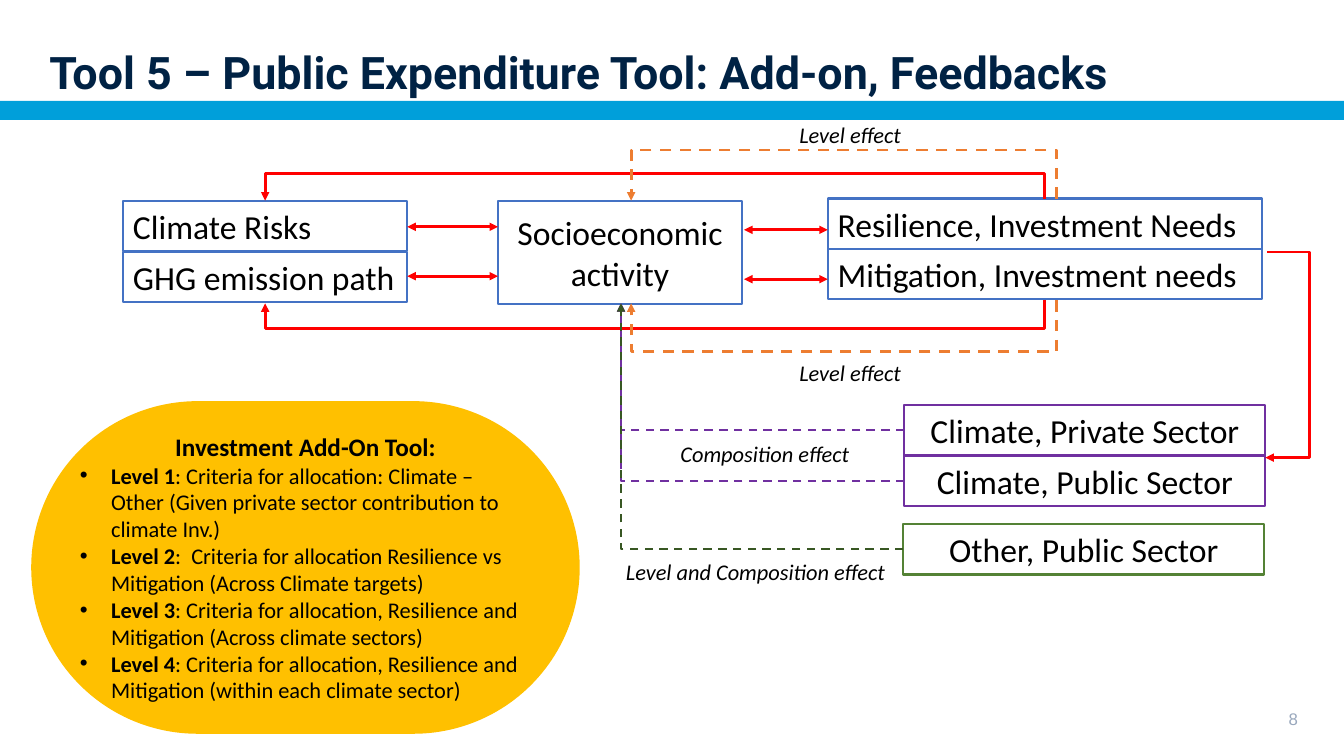
from lxml import etree
from pptx import Presentation
from pptx import util as u
from pptx.dml.color import RGBColor
from pptx.enum import dml, shapes, text
from pptx.oxml import ns

NAVY = RGBColor(0x00, 0x22, 0x44)
SKY = RGBColor(0x00, 0x9F, 0xDA)
SLATE = RGBColor(0x99, 0xA8, 0xBD)
BLACK = RGBColor(0x00, 0x00, 0x00)
BLUE = RGBColor(0x44, 0x72, 0xC4)
RED = RGBColor(0xFF, 0x00, 0x00)
ORANGE = RGBColor(0xED, 0x7D, 0x31)
PURPLE = RGBColor(0x70, 0x30, 0xA0)
GREEN = RGBColor(0x54, 0x82, 0x35)
DARK_GREEN = RGBColor(0x38, 0x57, 0x23)
AMBER = RGBColor(0xFF, 0xC0, 0x00)

LEFT, CENTER, RIGHT = text.PP_ALIGN.LEFT, text.PP_ALIGN.CENTER, text.PP_ALIGN.RIGHT
TOP, MIDDLE = text.MSO_ANCHOR.TOP, text.MSO_ANCHOR.MIDDLE


def add_run(p, words, size=24, font="Calibri", color=BLACK, bold=False, italic=False):
    r = p.add_run()
    r.text = words
    r.font.size, r.font.name = u.Pt(size), font
    r.font.bold, r.font.italic = bold, italic
    r.font.color.rgb = color


def add_xml(parent, tag, **attrs):
    return etree.SubElement(parent, ns.qn(tag), **attrs)


class Diagram:
    def __init__(self, slide):
        self.s = slide

    def shape(self, box, kind=shapes.MSO_SHAPE.RECTANGLE, fill=None, line=None):
        sp = self.s.shapes.add_shape(kind, *map(u.Inches, box))
        sp.shadow.inherit = False
        if fill is None:
            sp.fill.background()
        else:
            sp.fill.solid()
            sp.fill.fore_color.rgb = fill
        if line is None:
            sp.line.fill.background()
        else:
            sp.line.color.rgb = line
            sp.line.width = u.Pt(1.5)
        return sp

    def put_text(self, sp, words, align=LEFT, anchor=TOP, wrap=True, **style):
        tf = sp.text_frame
        tf.word_wrap, tf.vertical_anchor = wrap, anchor
        p = tf.paragraphs[0]
        p.alignment = align
        add_run(p, words, **style)
        return p

    def box(self, words, box, line, **style):
        self.put_text(self.shape(box, line=line), words, **style)

    def label(self, words, box, **style):
        return self.put_text(self.s.shapes.add_textbox(*map(u.Inches, box)), words, **style)

    def connector(self, start, end, color, kind=shapes.MSO_CONNECTOR.STRAIGHT,
                  width=2, dashed=False, both=False):
        c = self.s.shapes.add_connector(kind, *map(u.Inches, (*start, *end)))
        c.line.color.rgb, c.line.width = color, u.Pt(width)
        if dashed:
            c.line.dash_style = dml.MSO_LINE.DASH
        ln = c.line._get_or_add_ln()
        if both:
            add_xml(ln, "a:headEnd", type="triangle")
        add_xml(ln, "a:tailEnd", type="triangle")
        add_xml(c._element.spPr, "a:effectLst")
        return c

    def bend(self, c, preset, adjust=None):
        geom = c._element.spPr.find(ns.qn("a:prstGeom"))
        geom.set("prst", preset)
        if adjust is not None:
            guides = geom.find(ns.qn("a:avLst"))
            if guides is None:
                guides = add_xml(geom, "a:avLst")
            add_xml(guides, "a:gd", name="adj1", fmla=f"val {round(adjust * 100000)}")

    def side_loop(self, start, end, mid_x, color):
        """Leave sideways, turn at mid_x and come back."""
        c = self.connector(start, end, color, shapes.MSO_CONNECTOR.ELBOW)
        self.bend(c, "bentConnector3", (mid_x - start[0]) / (end[0] - start[0]))

    def vertical_loop(self, start, end, mid_y, color, dashed=False):
        """Leave vertically, turn at mid_y and come back: an elbow turned by 90 degrees."""
        cx, cy = (start[0] + end[0]) / 2, (start[1] + end[1]) / 2
        turned = [(cx + y - cy, cy - x + cx) for x, y in (start, end)]
        c = self.connector(*turned, color, shapes.MSO_CONNECTOR.ELBOW, dashed=dashed)
        c._element.spPr.find(ns.qn("a:xfrm")).set("rot", "5400000")
        self.bend(c, "bentConnector3", (mid_y - start[1]) / (end[1] - start[1]))

    def corner(self, start, end, color):
        c = self.connector(start, end, color, shapes.MSO_CONNECTOR.ELBOW, 1.5, True)
        self.bend(c, "bentConnector2")

    def level_list(self, sp, heading, levels):
        tf = sp.text_frame
        tf.margin_left = tf.margin_right = tf.margin_top = tf.margin_bottom = 0
        self.put_text(sp, heading, CENTER, MIDDLE, size=18, bold=True)
        for number, criteria in enumerate(levels, 1):
            p = tf.add_paragraph()
            p.alignment = LEFT
            pPr = p._p.get_or_add_pPr()
            pPr.set("marL", str(u.Inches(0.31)))
            pPr.set("indent", str(-u.Inches(0.31)))
            add_xml(pPr, "a:buFont", typeface="Arial")
            add_xml(pPr, "a:buChar", char="•")
            add_run(p, f"Level {number}", size=16, bold=True)
            add_run(p, criteria, size=16)


def main():
    prs = Presentation()
    prs.slide_width, prs.slide_height = u.Inches(13.33), u.Inches(7.5)
    d = Diagram(prs.slides.add_slide(prs.slide_layouts[6]))

    # Header and page number
    d.shape((0, 1, 13.33, 0.19), fill=SKY)
    title = d.label("Tool 5 – Public Expenditure Tool: Add-on, Feedbacks", (0.39, 0.33, 12.75, 0.83),
                    anchor=MIDDLE, size=32, font="Roboto", color=NAVY, bold=True)
    title.line_spacing = 0.9
    d.label("8", (12.18, 6.98, 0.79, 0.3), align=RIGHT, anchor=MIDDLE,
            size=12, font="Arial", color=SLATE)

    # Risks, activity and needs
    d.box("Climate Risks", (1.22, 1.99, 2.82, 0.5), BLUE)
    d.box("GHG emission path", (1.22, 2.5, 2.82, 0.5), BLUE, wrap=False)
    d.box("Socioeconomic activity", (4.94, 1.99, 2.42, 1.03), BLUE, align=CENTER, anchor=MIDDLE)
    d.box("Resilience, Investment Needs", (8.21, 1.97, 4.31, 0.5), BLUE)
    d.box("Mitigation, Investment needs", (8.21, 2.47, 4.31, 0.5), BLUE)
    for x1, x2, y in ((4.04, 4.94, 2.25), (7.38, 8.21, 2.28)):
        for row_y in (y, y + 0.49):
            d.connector((x1, row_y), (x2, row_y), RED, both=True)

    # Feedback loops above and below
    for x1, x2, top, bottom, color, dashed in ((10.36, 2.63, 1.72, 3.26, RED, False),
                                               (10.48, 6.26, 1.49, 3.49, ORANGE, True)):
        d.vertical_loop((x1, 1.97), (x2, 1.99), top, color, dashed)
        d.vertical_loop((x1, 2.98), (x2, 3.01), bottom, color, dashed)

    # Sectors
    d.box("Climate, Private Sector", (8.97, 4.02, 3.58, 0.5), PURPLE, align=CENTER)
    d.box("Climate, Public Sector", (8.97, 4.52, 3.58, 0.5), PURPLE, align=CENTER)
    d.box("Other, Public Sector", (8.96, 5.2, 3.58, 0.5), GREEN, align=CENTER)
    d.side_loop((12.57, 2.5), (12.55, 4.54), 12.99, RED)
    for x, y, color in ((8.97, 4.77, PURPLE), (8.97, 4.27, PURPLE), (8.96, 5.45, DARK_GREEN)):
        d.corner((x, y), (6.16, 3.01), color)

    # Effect labels
    for words, x, y, width in (("Level effect", 7.83, 1.15, 1.23),
                               ("Level effect", 7.83, 3.51, 1.23),
                               ("Composition effect", 6.65, 4.32, 1.91),
                               ("Level and Composition effect", 6.11, 5.49, 2.81)):
        d.label(words, (x, y, width, 0.37), wrap=False, size=16, italic=True)

    # Add-on tool levels
    panel = d.shape((0.31, 3.98, 5.44, 3.3), shapes.MSO_SHAPE.ROUNDED_RECTANGLE, fill=AMBER)
    panel.adjustments[0] = 0.5
    d.level_list(panel, "Investment Add-On Tool:", (
        ": Criteria for allocation: Climate – Other (Given private sector contribution to climate Inv.)",
        ":  Criteria for allocation Resilience vs Mitigation (Across Climate targets)",
        ": Criteria for allocation, Resilience and Mitigation (Across climate sectors)",
        ": Criteria for allocation, Resilience and Mitigation (within each climate sector)"))

    prs.save("out.pptx")


if __name__ == "__main__":
    main()
